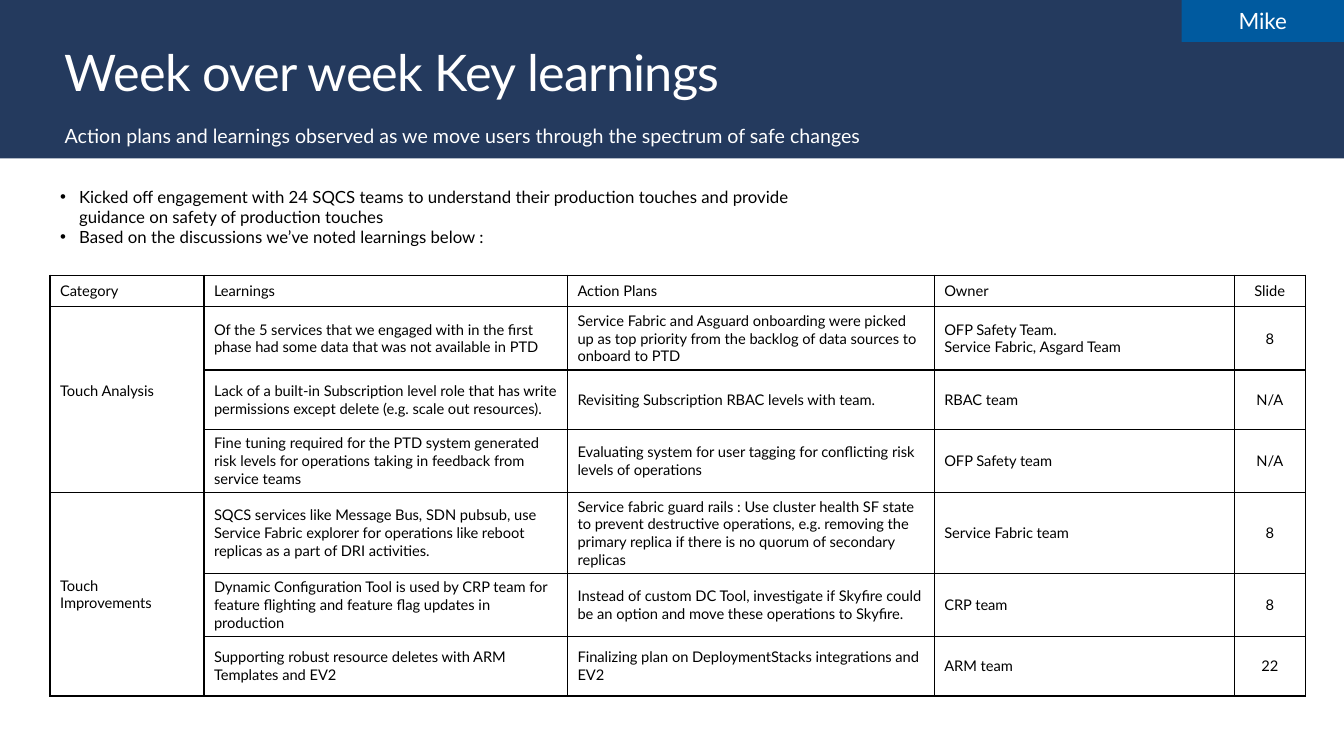
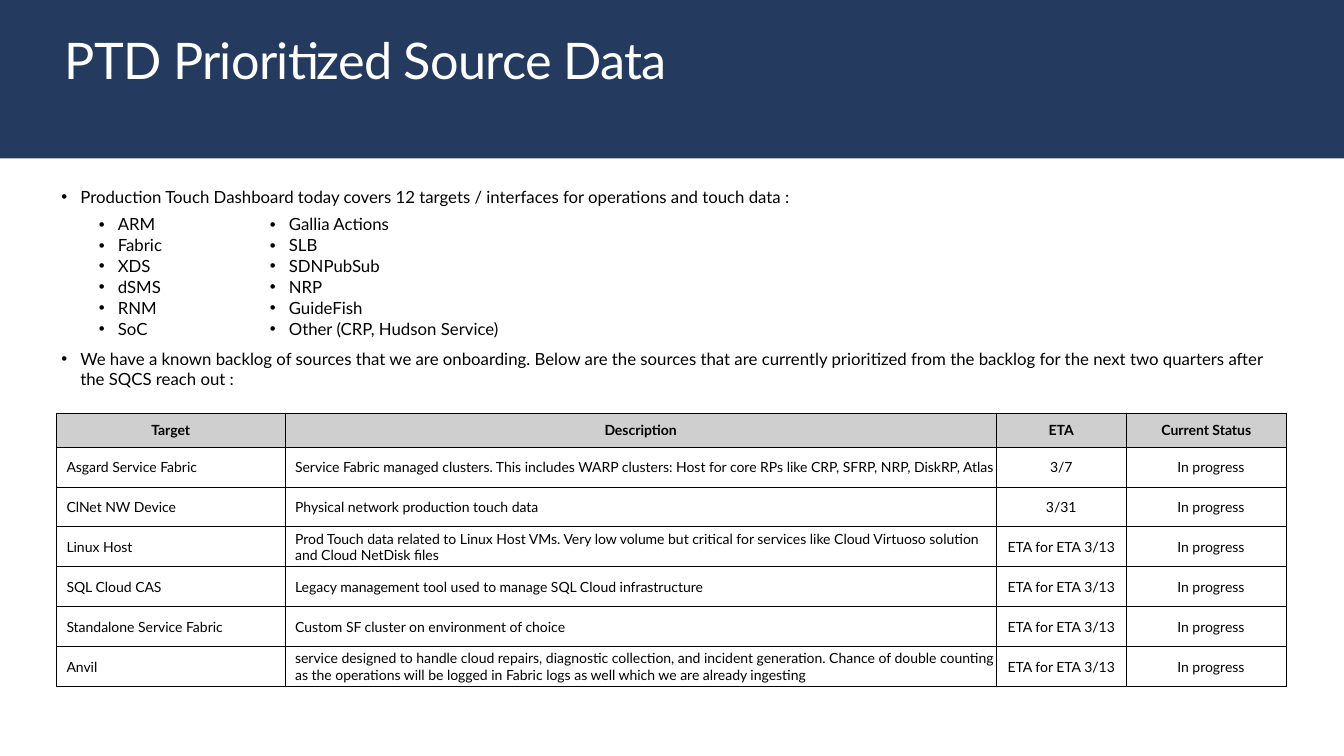
from lxml import etree
from pptx import Presentation
from pptx.dml.color import RGBColor
from pptx.enum.shapes import MSO_SHAPE as Shape
from pptx.enum.text import MSO_ANCHOR as Anchor, MSO_AUTO_SIZE as AutoSize, PP_ALIGN as Align
from pptx.oxml.ns import qn
from pptx.util import Pt

NAVY = RGBColor(0x24, 0x3A, 0x5E)
BLUE = RGBColor(0x00, 0x5A, 0x9F)
GRAY = RGBColor(0xCF, 0xCF, 0xCF)
WHITE = RGBColor(0xFF, 0xFF, 0xFF)
BLACK = RGBColor(0x00, 0x00, 0x00)

FONT = "Lato"
WIDTH, HEIGHT = 960, 540
BAND_HEIGHT = 113.2
MARGIN = 46.2
HANG = 13.5
NO_GRID_STYLE = "{2D5ABB26-0587-4C30-8999-92F81FD0307C}"


def write(frame, text, size=12, color=BLACK, bold=False, align=Align.LEFT,
          indent=None, gap=0, tracking=None):
    """Fill a text frame, one paragraph per line; an indent makes bullets."""
    for index, line in enumerate(text.split("\n")):
        para = frame.add_paragraph() if index else frame.paragraphs[0]
        if indent is not None:
            props = para._p.get_or_add_pPr()
            props.set("marL", str(Pt(indent)))
            props.set("indent", str(-Pt(HANG)))
            etree.SubElement(props, qn("a:buFont")).set("typeface", "Arial")
            etree.SubElement(props, qn("a:buChar")).set("char", "•")
        para.alignment = align
        para.line_spacing = 1.0
        para.space_before = Pt(gap if index else 0)
        span = para.add_run()
        span.text = line
        span.font.name = FONT
        span.font.size = Pt(size)
        span.font.bold = bold
        span.font.color.rgb = color
        if tracking is not None:
            span._r.get_or_add_rPr().set("spc", str(round(tracking * 100)))


def set_borders(cell, width):
    """Draw all four edges of a table cell."""
    props = cell._tc.get_or_add_tcPr()
    for index, side in enumerate(("lnL", "lnR", "lnT", "lnB")):
        line = etree.Element(qn(f"a:{side}"), w=str(Pt(width)))
        fill = etree.SubElement(line, qn("a:solidFill"))
        etree.SubElement(fill, qn("a:srgbClr")).set("val", str(BLACK))
        props.insert(index, line)


def place(box, left, top, width, height):
    box.left, box.top, box.width, box.height = map(Pt, (left, top, width, height))


class Pages:
    """House style together with the page being drawn."""

    def __init__(self):
        self.deck = Presentation()
        self.deck.slide_width, self.deck.slide_height = Pt(WIDTH), Pt(HEIGHT)
        self.layout = self.deck.slide_layouts[1]
        self.page = None

    def start(self, title, title_top):
        """Add a page with its title on the band."""
        self.page = self.deck.slides.add_slide(self.layout)
        band = self.block(0, 0, WIDTH, BAND_HEIGHT, NAVY)
        self.page.shapes.element.insert(2, band.element)  # behind the title
        box = self.page.shapes.title
        place(box, MARGIN, title_top, 868, 44)
        frame = self.plain_frame(box, inset=0)
        frame.vertical_anchor = Anchor.MIDDLE
        write(frame, title, size=36, color=WHITE, tracking=-0.5)

    def plain_frame(self, box, inset=None):
        frame = box.text_frame
        frame.word_wrap = True
        frame.auto_size = AutoSize.NONE
        if inset is not None:
            frame.margin_left = frame.margin_right = Pt(inset)
            frame.margin_top = frame.margin_bottom = Pt(inset)
        return frame

    def block(self, left, top, width, height, color):
        box = self.page.shapes.add_shape(
            Shape.RECTANGLE, Pt(left), Pt(top), Pt(width), Pt(height))
        box.shadow.inherit = False
        box.fill.solid()
        box.fill.fore_color.rgb = color
        box.line.fill.background()
        return box

    def tag(self, text):
        width, height = 116, 30
        frame = self.plain_frame(self.block(WIDTH - width, 0, width, height, BLUE), inset=0)
        frame.vertical_anchor = Anchor.MIDDLE
        write(frame, text, size=16, color=WHITE, align=Align.CENTER)

    def subtitle(self, text):
        box = self.page.shapes.add_textbox(Pt(MARGIN), Pt(88.6), Pt(893), Pt(17))
        write(self.plain_frame(box, inset=0), text, size=14, color=WHITE)

    def bullets(self, text, left, top, width, height, gap=0):
        box = self.page.placeholders[1]
        place(box, left, top, width, height)
        frame = self.plain_frame(box)
        frame.vertical_anchor = Anchor.TOP
        write(frame, text, indent=HANG, gap=gap)

    def table(self, rows, left, top, widths, heights, size, aligns, insets=None,
              border=None, shaded_header=False, indents=None):
        frame = self.page.shapes.add_table(
            len(rows), len(widths), Pt(left), Pt(top), Pt(sum(widths)), Pt(sum(heights)))
        table = frame.table
        table.first_row = table.horz_banding = False
        frame.element.xpath(".//a:tableStyleId")[0].text = NO_GRID_STYLE
        for column, width in zip(table.columns, widths):
            column.width = Pt(width)
        for row, height in zip(table.rows, heights):
            row.height = Pt(height)
        for r, texts in enumerate(rows):
            header = shaded_header and r == 0
            for c, text in enumerate(texts):
                cell = table.cell(r, c)
                cell.vertical_anchor = Anchor.MIDDLE
                if insets:
                    cell.margin_left = Pt(0.7 if header else insets[c])
                    cell.margin_right = Pt(0.7)
                    cell.margin_top, cell.margin_bottom = Pt(0.5), Pt(0)
                if header:
                    cell.fill.solid()
                    cell.fill.fore_color.rgb = GRAY
                else:
                    cell.fill.background()
                if border:
                    set_borders(cell, border)
                if text:
                    write(cell.text_frame, text, size=size, bold=header,
                          align=Align.CENTER if header else aligns[c],
                          indent=indents[c] if indents else None)
        return table


LEARNINGS = [
    ("Category", "Learnings", "Action Plans", "Owner", "Slide"),
    ("Touch Analysis",
     "Of the 5 services that we engaged with in the first phase had some data that was "
     "not available in PTD",
     "Service Fabric and Asguard onboarding were picked up as top priority from the "
     "backlog of data sources to onboard to PTD",
     "OFP Safety Team.\nService Fabric, Asgard Team", "8"),
    ("",
     "Lack of a built-in Subscription level role that has write permissions except "
     "delete (e.g. scale out resources).",
     "Revisiting Subscription RBAC levels with team.", "RBAC team", "N/A"),
    ("",
     "Fine tuning required for the PTD system generated risk levels for operations "
     "taking in feedback from service teams",
     "Evaluating system for user tagging for conflicting risk levels of operations",
     "OFP Safety team", "N/A"),
    ("Touch Improvements",
     "SQCS services like Message Bus, SDN pubsub, use Service Fabric explorer for "
     "operations like reboot replicas as a part of DRI activities.",
     "Service fabric guard rails : Use cluster health SF state to prevent destructive "
     "operations, e.g. removing the primary replica if there is no quorum of secondary "
     "replicas",
     "Service Fabric team", "8"),
    ("",
     "Dynamic Configuration Tool is used by CRP team for feature flighting and feature "
     "flag updates in production",
     "Instead of custom DC Tool, investigate if Skyfire could be an option and move "
     "these operations to Skyfire.",
     "CRP team", "8"),
    ("",
     "Supporting robust resource deletes with ARM Templates and EV2",
     "Finalizing plan on DeploymentStacks integrations and EV2", "ARM team", "22"),
]

COVERED = [
    ("ARM", "Gallia Actions"),
    ("Fabric", "SLB"),
    ("XDS", "SDNPubSub"),
    ("dSMS", "NRP"),
    ("RNM", "GuideFish"),
    ("SoC", "Other (CRP, Hudson Service)"),
]

LATER, STATUS = "ETA for ETA 3/13", "In progress"
SOURCES = [
    ("Asgard Service Fabric",
     "Service Fabric managed clusters. This includes WARP clusters: Host for core RPs "
     "like CRP, SFRP, NRP, DiskRP, Atlas", "3/7"),
    ("ClNet NW Device", "Physical network production touch data", "3/31"),
    ("Linux Host",
     "Prod Touch data related to Linux Host VMs. Very low volume but critical for "
     "services like Cloud Virtuoso solution and Cloud NetDisk files", LATER),
    ("SQL Cloud CAS", "Legacy management tool used to manage SQL Cloud infrastructure", LATER),
    ("Standalone Service Fabric", "Custom SF cluster on environment of choice", LATER),
    ("Anvil",
     "service designed to handle cloud repairs, diagnostic collection, and incident "
     "generation. Chance of double counting as the operations will be logged in Fabric "
     "logs as well which we are already ingesting", LATER),
]


def draw_learnings(pages):
    pages.start("Week over week Key learnings", title_top=29.2)
    pages.subtitle("Action plans and learnings observed as we move users through the "
                   "spectrum of safe changes")
    pages.tag("Mike")
    pages.bullets(
        "Kicked off engagement with 24 SQCS teams to understand their production touches "
        "and provide guidance on safety of production touches\n"
        "Based on the discussions we’ve noted learnings below :",
        left=35.8, top=129.6, width=551, height=51)
    table = pages.table(
        LEARNINGS, left=35.7, top=196.6, widths=(110, 259.7, 262, 214.2, 51),
        heights=[22.6, 30] + [42.5] * 5, size=10.5, border=1,
        aligns=[Align.LEFT] * 4 + [Align.CENTER])
    # Each category covers three rows
    for first in (1, 4):
        table.cell(first, 0).merge(table.cell(first + 2, 0))
    # The first category sits a little above the middle
    table.cell(1, 0).margin_bottom = Pt(16.2)


def draw_sources(pages):
    pages.start("PTD Prioritized Source Data", title_top=20.7)
    # The gap between the two bullets leaves room for the target lists
    pages.bullets(
        "Production Touch Dashboard today covers 12 targets / interfaces for operations "
        "and touch data :\n"
        "We have a known backlog of sources that we are onboarding. Below are the sources "
        "that are currently prioritized from the backlog for the next two quarters after "
        "the SQCS reach out :",
        left=36.7, top=130, width=878.4, height=152.6, gap=101)
    pages.table(
        COVERED, left=59, top=152.6, widths=(133.2, 173.5), heights=[14.7] * 6, size=12,
        aligns=[Align.LEFT] * 2, insets=(7.2, 0.7), indents=(18, HANG))
    rows = [("Target", "Description", "ETA", "Current Status")]
    rows += [(*source, STATUS) for source in SOURCES]
    pages.table(
        rows, left=40.3, top=295, widths=(163.3, 508, 92.9, 114.4),
        heights=[24.3] + [28.5] * 6, size=10, border=0.5, shaded_header=True,
        aligns=[Align.LEFT] * 2 + [Align.CENTER] * 2, insets=(7.2, 7.2, 0.7, 7.2))


def main():
    pages = Pages()
    draw_learnings(pages)
    draw_sources(pages)
    pages.deck.save("out.pptx")


if __name__ == "__main__":
    main()
